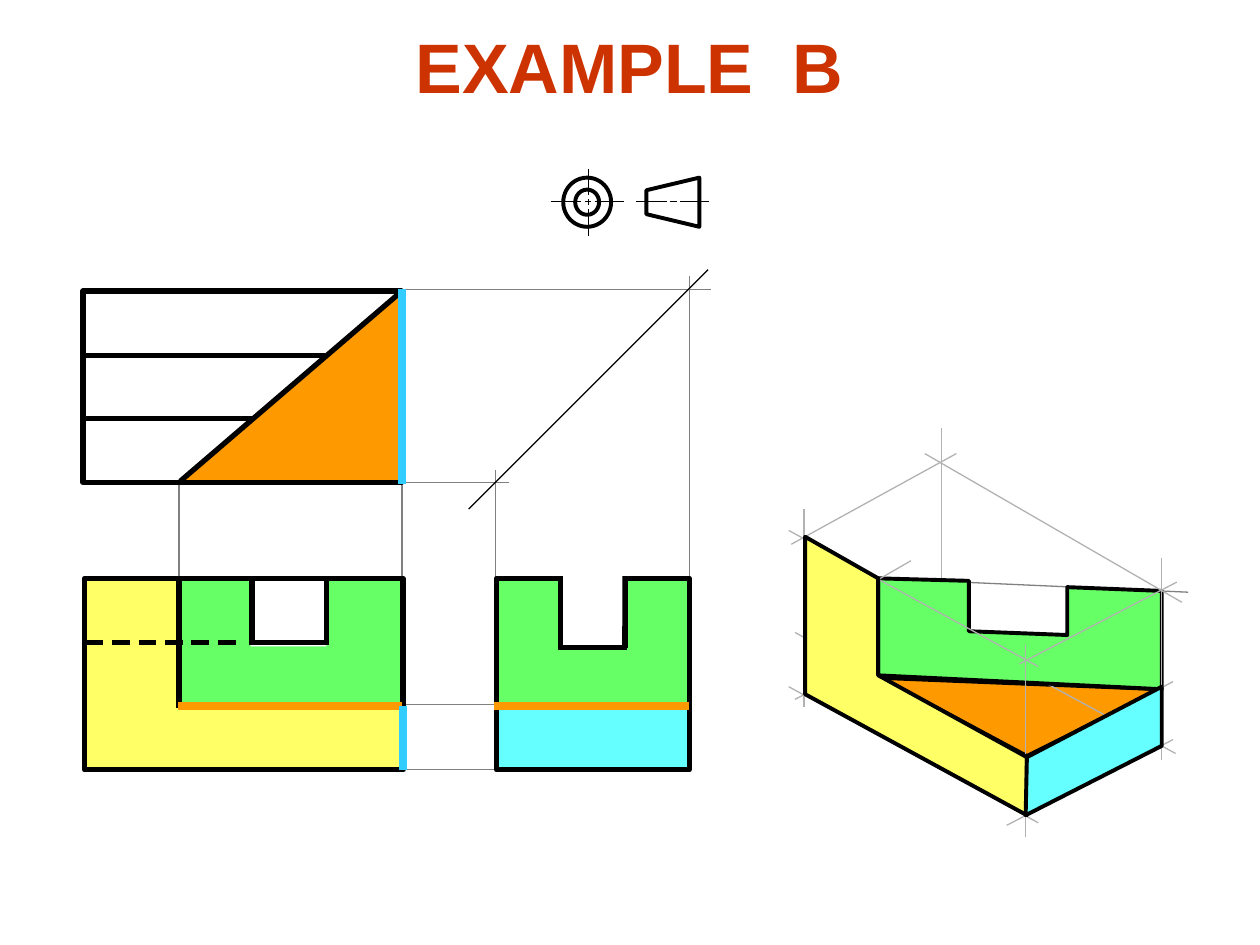
from dataclasses import dataclass

from lxml import etree
from pptx import Presentation
from pptx.dml.color import RGBColor
from pptx.enum.shapes import MSO_CONNECTOR, MSO_SHAPE
from pptx.enum.text import MSO_AUTO_SIZE, PP_ALIGN
from pptx.oxml.ns import qn
from pptx.util import Inches, Pt

STRAIGHT = MSO_CONNECTOR.STRAIGHT
RECTANGLE = MSO_SHAPE.RECTANGLE
DONUT = MSO_SHAPE.DONUT
CENTER = PP_ALIGN.CENTER
FIT_SHAPE = MSO_AUTO_SIZE.SHAPE_TO_FIT_TEXT


@dataclass(frozen=True)
class Theme:
    font: str = "Arial"
    title_size: float = 40
    title: str = "CC3300"
    ink: str = "000000"
    paper: str = "FFFFFF"
    projection: str = "808080"
    guide: str = "B2B2B2"
    yellow: str = "FFFF66"
    green: str = "66FF66"
    orange: str = "FF9900"
    cyan: str = "66FFFF"
    blue: str = "33CCFF"
    thin: float = 0.75
    axis: float = 1
    edge: float = 2.25
    outline: float = 3
    accent: float = 4.5


class Drawing:
    def __init__(self, slide, theme):
        self.slide = slide
        self.theme = theme

    def style(self, shape, fill, color, width):
        shape.shadow.inherit = False
        if fill:
            shape.fill.solid()
            shape.fill.fore_color.rgb = RGBColor.from_string(fill)
        else:
            shape.fill.background()
        if width:
            shape.line.color.rgb = RGBColor.from_string(color)
            shape.line.width = Pt(width)
        else:
            shape.line.fill.background()

    def shape(self, kind, left, top, width, height, fill=None, line_width=0):
        shape = self.slide.shapes.add_shape(
            kind, Inches(left), Inches(top), Inches(width), Inches(height))
        self.style(shape, fill, self.theme.ink, line_width)
        return shape

    def polygon(self, points, fill=None, line_width=0):
        corners = [(Inches(x), Inches(y)) for x, y in points]
        builder = self.slide.shapes.build_freeform(*corners[0])
        builder.add_line_segments(corners[1:], close=True)
        self.style(builder.convert_to_shape(), fill, self.theme.ink, line_width)

    def lines(self, segments, color, width):
        for segment in segments:
            line = self.slide.shapes.add_connector(
                STRAIGHT, *[Inches(value) for value in segment])
            line.line.color.rgb = RGBColor.from_string(color)
            line.line.width = Pt(width)
            properties = line._element.spPr
            etree.SubElement(properties, qn("a:effectLst"))

    def title(self, text, left, top, width, height):
        box = self.slide.shapes.add_textbox(
            Inches(left), Inches(top), Inches(width), Inches(height))
        frame = box.text_frame
        frame.word_wrap = False
        frame.auto_size = FIT_SHAPE
        para = frame.paragraphs[0]
        para.text = text
        para.alignment = CENTER
        para.font.name = self.theme.font
        para.font.size = Pt(self.theme.title_size)
        para.font.bold = True
        para.font.color.rgb = RGBColor.from_string(self.theme.title)


def draw_view_fills(drawing):
    theme = drawing.theme
    # Projection lines between the views
    drawing.lines([(4.02, 5.59, 3.04, 5.59), (4.03, 6.11, 3.05, 6.11)],
                  theme.projection, theme.thin)
    drawing.shape(RECTANGLE, 3.93, 5.6, 1.53, 0.5, theme.cyan)
    # Sloping floor of the pictorial view, behind its walls
    drawing.polygon([(8.15, 6), (9.21, 5.47), (6.99, 5.38)],
                    theme.orange, theme.edge)
    drawing.lines([(3.93, 3.73, 3.93, 4.68), (5.47, 2.19, 5.47, 4.66),
                   (1.42, 3.81, 1.42, 4.67), (3.19, 3.79, 3.19, 4.65),
                   (3.01, 3.83, 4.04, 3.83), (3.08, 2.3, 5.64, 2.3)],
                  theme.projection, theme.thin)
    # Top, front and side faces
    drawing.polygon([(3.18, 3.83), (3.18, 2.31), (1.42, 3.82)],
                    theme.orange, theme.thin)
    drawing.polygon([(0.66, 6.1), (3.19, 6.1), (3.19, 5.6), (1.41, 5.6),
                     (1.41, 4.6), (0.67, 4.6)], theme.yellow, theme.thin)
    drawing.lines([(6.73, 4.58, 9.43, 4.7)], theme.projection, theme.thin)
    drawing.polygon([(3.94, 5.61), (5.47, 5.61), (5.47, 4.6), (4.96, 4.6),
                     (4.96, 5.14), (4.44, 5.14), (4.44, 4.59), (3.93, 4.59)],
                    theme.green)
    drawing.polygon([(1.42, 5.6), (3.18, 5.6), (3.18, 4.59), (2.59, 4.59),
                     (2.59, 5.13), (1.99, 5.13), (1.99, 4.58), (1.41, 4.58)],
                    theme.green)


def draw_projection_symbol(drawing):
    theme = drawing.theme
    ring = drawing.shape(DONUT, 4.47, 1.41, 0.38, 0.39, line_width=theme.edge)
    ring.adjustments[0] = 0.25
    drawing.polygon([(5.13, 1.51), (5.55, 1.41), (5.55, 1.8), (5.13, 1.7)],
                    line_width=theme.edge)
    # Chain-dotted centre lines
    middle = 1.6
    for center in (4.67, 5.35):
        drawing.lines([(center + start, middle, center + end, middle)
                       for start, end in ((-0.3, -0.06), (-0.03, 0.02), (0.05, 0.28))],
                      theme.ink, theme.axis)
    drawing.lines([(4.67, middle + start, 4.67, middle + end)
                   for start, end in ((-0.26, -0.05), (-0.02, 0.03), (0.06, 0.27))],
                  theme.ink, theme.axis)


def draw_view_outlines(drawing):
    theme = drawing.theme
    for left, top, width in ((0.66, 2.31, 2.53), (0.67, 4.59, 2.53), (3.94, 4.59, 1.53)):
        drawing.shape(RECTANGLE, left, top, width, 1.52, line_width=theme.outline)
    # Visible edges: top view, front view, side view
    drawing.lines([
        (1.43, 3.82, 3.19, 2.31), (0.66, 2.82, 2.58, 2.82), (0.66, 3.32, 2, 3.32),
        (1.4, 5.6, 3.19, 5.6), (1.42, 4.59, 1.42, 5.61), (2, 4.59, 2, 5.11),
        (1.98, 5.1, 2.61, 5.1), (2.59, 4.59, 2.59, 5.11),
        (3.95, 5.6, 5.46, 5.6), (4.43, 5.14, 4.98, 5.14),
        (4.45, 4.61, 4.45, 5.14), (4.96, 4.61, 4.96, 5.14),
    ], theme.ink, theme.outline)
    # Hidden edge
    dash, step = 0.14, 0.21
    starts = [0.68 + step * index for index in range(6)]
    drawing.lines([(x, 5.1, x + dash, 5.1) for x in starts], theme.ink, theme.outline)
    # Open top of the side-view slot
    drawing.shape(RECTANGLE, 4.47, 4.51, 0.47, 0.46, theme.paper)


def draw_pictorial_walls(drawing):
    theme = drawing.theme
    drawing.lines([(7.47, 3.4, 7.47, 5.11), (6.31, 5.55, 7.64, 4.87),
                   (7.34, 4.9, 9.33, 5.98)], theme.guide, theme.thin)
    drawing.polygon([(6.97, 5.36), (9.22, 5.47), (9.22, 4.69), (8.47, 4.66),
                     (8.47, 5.04), (7.69, 5.01), (7.69, 4.61), (6.97, 4.59)],
                    theme.green, theme.edge)
    # Construction box in front of the green wall
    drawing.lines([
        (7.23, 4.45, 6.78, 4.71), (6.28, 4.32, 7.59, 3.6), (7.99, 6.55, 9.31, 5.87),
        (7.34, 3.6, 9.38, 4.78), (6.38, 4.04, 6.38, 5.61), (6.26, 5.45, 8.24, 6.53),
        (9.22, 4.43, 9.22, 6.03), (8.14, 5.12, 8.14, 6.64), (6.26, 4.21, 8.24, 5.29),
        (8.09, 5.27, 9.34, 4.62), (9.31, 5.41, 8.06, 6.06), (6.31, 5.02, 8.3, 6.1),
    ], theme.guide, theme.thin)
    drawing.polygon([(6.39, 5.51), (8.15, 6.47), (8.15, 6.01), (6.97, 5.36),
                     (6.97, 4.59), (6.39, 4.26)], theme.yellow, theme.edge)


def main():
    deck = Presentation()
    deck.slide_width, deck.slide_height = Inches(10), Inches(7.5)
    theme = Theme()
    drawing = Drawing(deck.slides.add_slide(deck.slide_layouts[6]), theme)

    draw_view_fills(drawing)
    draw_projection_symbol(drawing)
    draw_view_outlines(drawing)
    drawing.title("EXAMPLE  B", 3.2, 0.14, 3.59, 0.77)
    # Mitre line
    drawing.lines([(3.72, 4.04, 5.62, 2.14)], theme.ink, theme.thin)
    draw_pictorial_walls(drawing)

    # Faces seen edge-on
    drawing.lines([(1.41, 5.6, 3.19, 5.6), (3.92, 5.6, 5.47, 5.6)],
                  theme.orange, theme.accent)
    drawing.lines([(3.19, 2.29, 3.19, 3.84), (3.2, 5.6, 3.2, 6.11)],
                  theme.blue, theme.accent)
    # Front end of the pictorial view
    drawing.polygon([(8.14, 6.47), (9.22, 5.92), (9.22, 5.45), (8.15, 6.01)],
                    theme.cyan, theme.edge)
    deck.save("out.pptx")


if __name__ == "__main__":
    main()
